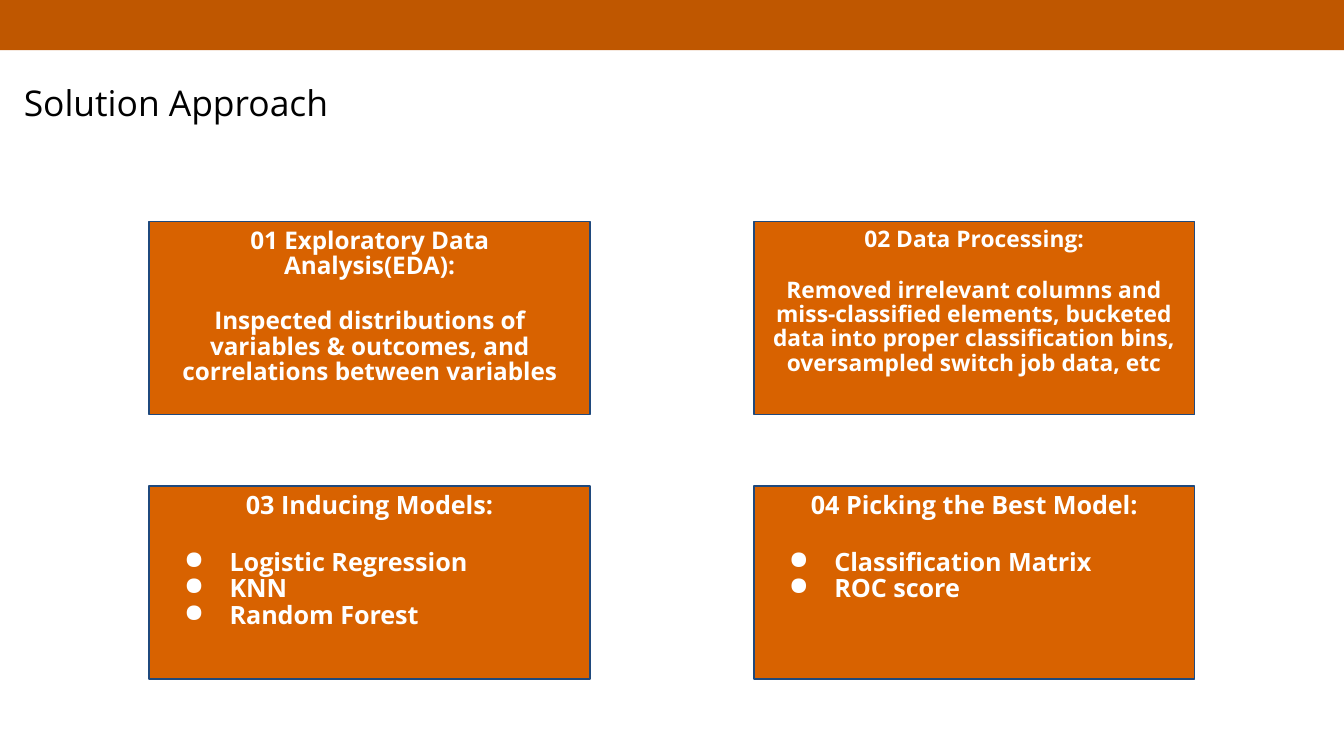
from lxml import etree
from pptx import Presentation
from pptx.dml.color import RGBColor
from pptx.enum.shapes import MSO_SHAPE
from pptx.enum.text import MSO_ANCHOR, PP_ALIGN
from pptx.oxml.ns import qn
from pptx.util import Cm, Pt

RECTANGLE = MSO_SHAPE.RECTANGLE
TOP, MIDDLE = MSO_ANCHOR.TOP, MSO_ANCHOR.MIDDLE
LEFT, CENTER = PP_ALIGN.LEFT, PP_ALIGN.CENTER
FONT = "Open Sans"
BAR, CARD, OUTLINE = "BF5700", "D86200", "1F497D"
WHITE, BLACK = "FFFFFF", "000000"
SLIDE_WIDTH, SLIDE_HEIGHT = Cm(25.4), Cm(14.29)
CARD_WIDTH, CARD_HEIGHT = Cm(8.33), Cm(3.65)
GRID_LEFT, GRID_TOP = Cm(2.82), Cm(4.19)
COLUMN_STEP, ROW_STEP = Cm(11.43), Cm(5)
LINE_SPACING = 0.88
BLANK_LINE = 1.2

CARDS = [
    ("01 Exploratory Data Analysis(EDA):", 13, False,
     ["Inspected distributions of variables & outcomes, "
      "and correlations between variables"]),
    ("02 Data Processing:", 12.2, False,
     ["Removed irrelevant columns and miss-classified elements, bucketed data "
      "into proper classification bins, oversampled switch job data, etc"]),
    ("03 Inducing Models:", 13.5, True,
     ["Logistic Regression", "KNN", "Random Forest"]),
    ("04 Picking the Best Model:", 13.5, True,
     ["Classification Matrix", "ROC score"]),
]


def color(hex_value):
    """Turn a hex string into a colour."""
    return RGBColor.from_string(hex_value)


def add_rectangle(slide, box, fill, line=None):
    """Add a flat rectangle in the given box."""
    shape = slide.shapes.add_shape(RECTANGLE, *box)
    shape.shadow.inherit = False
    shape.fill.solid()
    shape.fill.fore_color.rgb = color(fill)
    if line:
        shape.line.color.rgb = color(line)
        shape.line.width = Pt(0.75)
    else:
        shape.line.fill.background()
    return shape


def prepare_frame(shape, anchor):
    """Set wrapping, margins and anchor of a shape's text."""
    frame = shape.text_frame
    frame.word_wrap = True
    frame.vertical_anchor = anchor
    frame.margin_left = frame.margin_right = Cm(0.25)
    frame.margin_top = frame.margin_bottom = Cm(0.13)
    return frame


def add_bullet(paragraph, hex_value):
    """Give a paragraph a round bullet with a hanging indent."""
    properties = paragraph._p.get_or_add_pPr()
    properties.set("marL", str(Cm(1.27)))
    properties.set("indent", str(Cm(-0.86)))
    bullet_color = etree.SubElement(properties, qn("a:buClr"))
    etree.SubElement(bullet_color, qn("a:srgbClr"), val=hex_value)
    etree.SubElement(properties, qn("a:buChar"), char="●")


def write(paragraph, text, size, hex_value=WHITE, bold=True, align=CENTER,
          bullet=False, line_spacing=LINE_SPACING, space_before=0):
    """Write formatted text into a paragraph."""
    if bullet:
        add_bullet(paragraph, hex_value)
    paragraph.alignment = align
    paragraph.line_spacing = line_spacing
    paragraph.space_before = Pt(space_before)
    run = paragraph.add_run()
    run.text = text
    run.font.name = FONT
    run.font.size = Pt(size)
    run.font.bold = bold
    run.font.color.rgb = color(hex_value)


def add_title(slide, box, text):
    """Add the slide title."""
    frame = prepare_frame(slide.shapes.add_textbox(*box), MIDDLE)
    write(frame.paragraphs[0], text, 19, hex_value=BLACK, bold=False,
          align=LEFT, line_spacing=1.0)


def add_card(slide, box, heading, size, bulleted, lines):
    """Add one step card with its heading and body lines."""
    frame = prepare_frame(add_rectangle(slide, box, CARD, OUTLINE), TOP)
    write(frame.paragraphs[0], heading, size)
    for index, line in enumerate(lines):
        write(frame.add_paragraph(), line, size, bullet=bulleted,
              align=LEFT if bulleted else CENTER,
              space_before=0 if index else round(size * BLANK_LINE, 1))


def add_card_grid(slide, left, top):
    """Place the cards in two columns."""
    for index, card in enumerate(CARDS):
        row, column = divmod(index, 2)
        box = (left + column * COLUMN_STEP, top + row * ROW_STEP,
               CARD_WIDTH, CARD_HEIGHT)
        add_card(slide, box, *card)


def main():
    """Build and save the presentation."""
    presentation = Presentation()
    presentation.slide_width = SLIDE_WIDTH
    presentation.slide_height = SLIDE_HEIGHT
    slide = presentation.slides.add_slide(presentation.slide_layouts[6])
    add_rectangle(slide, (0, 0, SLIDE_WIDTH, Cm(0.95)), BAR)
    add_card_grid(slide, GRID_LEFT, GRID_TOP)
    add_title(slide, (Cm(0.2), Cm(0.95), Cm(24.4), Cm(1.98)),
              "Solution Approach")
    presentation.save("out.pptx")


if __name__ == "__main__":
    main()
